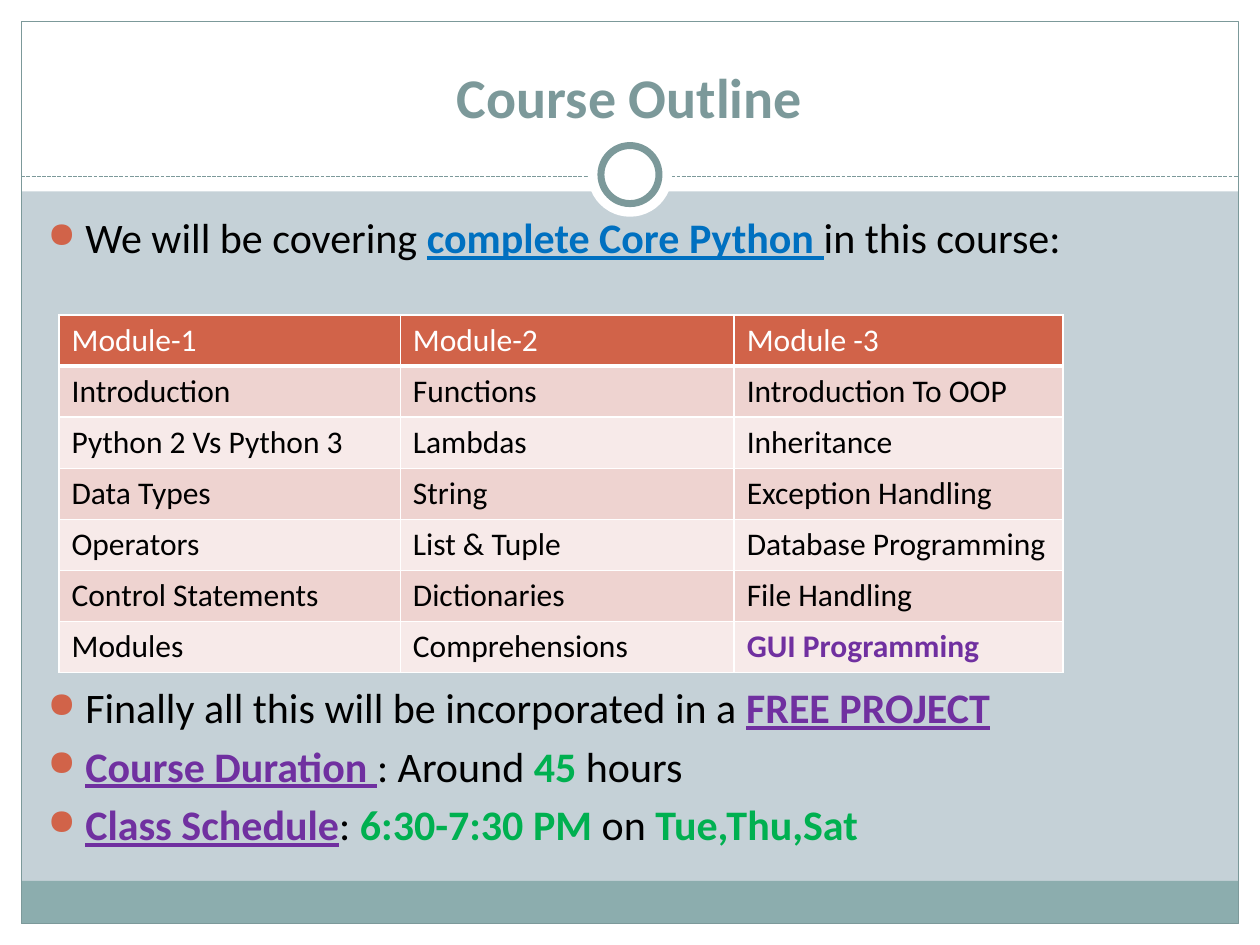
from lxml import etree
from pptx import Presentation
from pptx.dml.color import RGBColor
from pptx.enum.dml import MSO_LINE
from pptx.enum.shapes import MSO_CONNECTOR, MSO_SHAPE
from pptx.enum.text import MSO_ANCHOR, PP_ALIGN
from pptx.oxml.ns import qn
from pptx.util import Cm, Pt

RECT, OVAL = MSO_SHAPE.RECTANGLE, MSO_SHAPE.OVAL
STRAIGHT, DASH = MSO_CONNECTOR.STRAIGHT, MSO_LINE.SQUARE_DOT
CENTER, BOTTOM = PP_ALIGN.CENTER, MSO_ANCHOR.BOTTOM

WHITE = RGBColor(0xFF, 0xFF, 0xFF)
BLACK = RGBColor(0, 0, 0)
MIST = RGBColor(0xC5, 0xD1, 0xD7)
TEAL = RGBColor(0x8C, 0xAD, 0xAE)
SLATE = RGBColor(0x7C, 0x99, 0x9A)
RUST = RGBColor(0xD1, 0x63, 0x49)
ROSE = RGBColor(0xEE, 0xD3, 0xD0)
BLUSH = RGBColor(0xF7, 0xEA, 0xE9)
BLUE = RGBColor(0x00, 0x70, 0xC0)
PURPLE = RGBColor(0x70, 0x30, 0xA0)
GREEN = RGBColor(0x00, 0xB0, 0x50)
FONT = "Calibri"

# Content: text runs are (text, style)
TITLE = "Course Outline"
STYLES = {  # colour, bold, underline
    "plain": (BLACK, False, False),
    "topic": (BLUE, True, True),
    "key": (PURPLE, True, True),
    "fact": (GREEN, True, False),
}
INTRO = [
    [("We will be covering ", "plain"), ("complete Core Python ", "topic"),
     ("in this course:", "plain")],
]
FACTS = [
    [("Finally all this will be incorporated in a ", "plain"),
     ("FREE PROJECT", "key")],
    [("Course Duration ", "key"), (": Around ", "plain"), ("45", "fact"),
     (" hours", "plain")],
    [("Class Schedule", "key"), (": ", "plain"), ("6:30-7:30 PM", "fact"),
     (" on ", "plain"), ("Tue,Thu,Sat", "fact")],
]
MODULES = [
    ("Module-1", "Module-2", "Module -3"),
    ("Introduction", "Functions", "Introduction To OOP"),
    ("Python 2 Vs Python 3", "Lambdas", "Inheritance"),
    ("Data Types", "String", "Exception Handling"),
    ("Operators", "List & Tuple", "Database Programming"),
    ("Control Statements", "Dictionaries", "File Handling"),
    ("Modules", "Comprehensions", "GUI Programming"),
]
ACCENT = "GUI Programming"

# Layout in centimetres
WIDE, HIGH, EDGE = 25.4, 19.05, 0.43
HEAD, RULE = 3.86, 3.56
BAND = 0.86
RING_Y = 3.52
COLS, ROW = (6.88, 6.73, 6.63), 1.03

prs = Presentation()
prs.slide_width, prs.slide_height = Cm(WIDE), Cm(HIGH)
slide = prs.slides.add_slide(prs.slide_layouts[6])
slide.background.fill.solid()
slide.background.fill.fore_color.rgb = MIST


def add_part(kind, x, y, w, h, fill=None, line=None, weight=0.75):
    part = slide.shapes.add_shape(kind, Cm(x), Cm(y), Cm(w), Cm(h))
    part.shadow.inherit = False
    if fill is None:
        part.fill.background()
    else:
        part.fill.solid()
        part.fill.fore_color.rgb = fill
    if line is None:
        part.line.fill.background()
    else:
        part.line.color.rgb = line
        part.line.width = Pt(weight)


def add_ring(size, line=None):
    add_part(OVAL, (WIDE - size) / 2, RING_Y - size / 2, size, size,
             WHITE, line, 4)


def add_box(x, y, w, h):
    frame = slide.shapes.add_textbox(Cm(x), Cm(y), Cm(w), Cm(h)).text_frame
    frame.word_wrap = True
    return frame


def set_font(font, size, color, bold=False, line=False):
    font.name, font.size = FONT, Pt(size)
    font.bold, font.underline = bold, line
    font.color.rgb = color


def add_bullet(para):
    props = para._p.get_or_add_pPr()
    props.set("marL", str(Cm(0.76)))
    props.set("indent", str(-Cm(0.76)))
    color = etree.SubElement(props, qn("a:buClr"))
    etree.SubElement(color, qn("a:srgbClr"), val=str(RUST))
    etree.SubElement(props, qn("a:buSzPct"), val="85000")
    etree.SubElement(props, qn("a:buChar"), char="●")


def add_list(items, y, h):
    frame = add_box(0.71, y, 24.2, h)
    for i, item in enumerate(items):
        para = frame.add_paragraph() if i else frame.paragraphs[0]
        if i:
            para.space_before = Pt(4.5)
        add_bullet(para)
        for text, style in item:
            run = para.add_run()
            run.text = text
            set_font(run.font, 24, *STYLES[style])


def set_border(cell, top):
    props = cell._tc.get_or_add_tcPr()
    for i, side in enumerate(("lnL", "lnR", "lnT", "lnB")):
        weight = 3 if top and side == "lnB" else 1
        line = etree.Element(qn("a:" + side), w=str(Pt(weight)))
        fill = etree.SubElement(line, qn("a:solidFill"))
        etree.SubElement(fill, qn("a:srgbClr"), val=str(WHITE))
        props.insert(i, line)


# White margins, footer band and frame
add_part(RECT, 0, HIGH - EDGE, WIDE, EDGE, WHITE)
add_part(RECT, 0, 0, WIDE, HEAD, WHITE)
for x in (0, WIDE - EDGE):
    add_part(RECT, x, 0, EDGE, HIGH, WHITE)
add_part(RECT, EDGE, HIGH - EDGE - BAND, WIDE - 2 * EDGE, BAND, TEAL)
add_part(RECT, EDGE, EDGE, WIDE - 2 * EDGE, HIGH - 2 * EDGE, line=SLATE)

# Dashed rule with the ring on it
rule = slide.shapes.add_connector(STRAIGHT, Cm(EDGE), Cm(RULE),
                                  Cm(WIDE - EDGE), Cm(RULE))
rule.line.color.rgb = SLATE
rule.line.width = Pt(0.75)
rule.line.dash_style = DASH
etree.SubElement(rule._element.spPr, qn("a:effectLst"))
add_ring(1.7)
add_ring(1.17, SLATE)

# Title
frame = add_box(0.84, 0.64, 23.7, 2.11)
frame.vertical_anchor = BOTTOM
frame.text = TITLE
frame.paragraphs[0].alignment = CENTER
set_font(frame.paragraphs[0].runs[0].font, 32, SLATE, True)

# Bullets above and below the table
add_list(INTRO, 4.14, 1.3)
add_list(FACTS, 13.62, 3.9)

# Module table
table = slide.shapes.add_table(len(MODULES), len(COLS), Cm(1.19), Cm(6.35),
                               Cm(sum(COLS)), Cm(ROW * len(MODULES))).table
for col, w in zip(table.columns, COLS):
    col.width = Cm(w)
for r, names in enumerate(MODULES):
    table.rows[r].height = Cm(ROW)
    for c, name in enumerate(names):
        cell = table.cell(r, c)
        cell.text = name
        cell.fill.solid()
        cell.fill.fore_color.rgb = (ROSE if r % 2 else BLUSH) if r else RUST
        set_border(cell, r == 0)
        hot = name == ACCENT
        color = PURPLE if hot else BLACK if r else WHITE
        set_font(cell.text_frame.paragraphs[0].runs[0].font, 18, color, hot)

prs.save("out.pptx")
